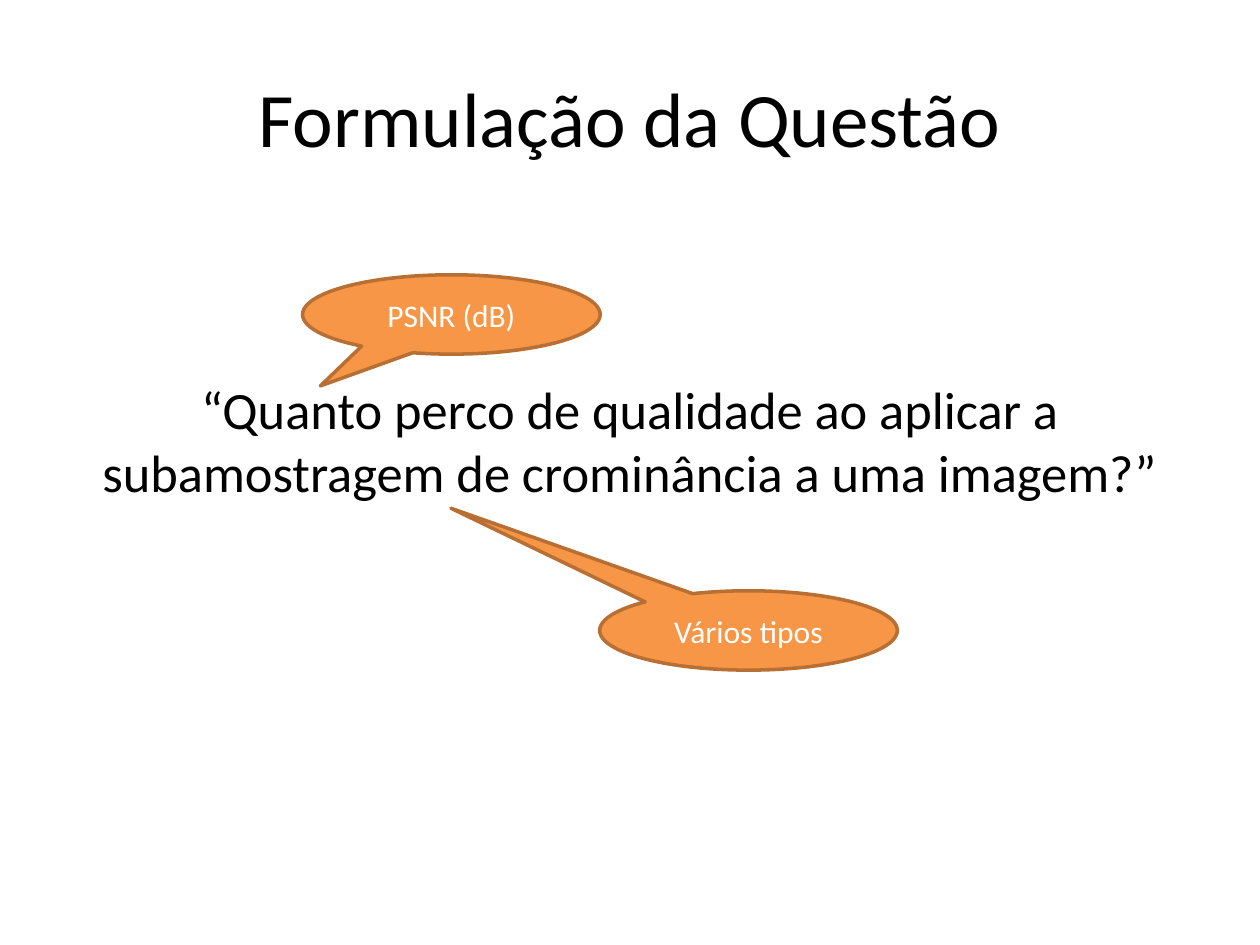
from pptx import Presentation
from pptx.dml.color import RGBColor
from pptx.enum.shapes import MSO_SHAPE
from pptx.enum.text import MSO_ANCHOR, PP_ALIGN
from pptx.util import Cm, Pt

CENTER = PP_ALIGN.CENTER
TOP, MIDDLE = MSO_ANCHOR.TOP, MSO_ANCHOR.MIDDLE
CALLOUT = MSO_SHAPE.OVAL_CALLOUT

FONT = "Calibri"
BLACK = RGBColor(0x00, 0x00, 0x00)
WHITE = RGBColor(0xFF, 0xFF, 0xFF)
ORANGE = RGBColor(0xF7, 0x96, 0x46)
BROWN = RGBColor(0xB7, 0x6F, 0x34)

TITLE = "Formulação da Questão"
QUESTION = ("“Quanto perco de qualidade ao aplicar a "
            "subamostragem de crominância a uma imagem?”")
# Text, left and top in cm, tip offset from the centre as a share of the size
CALLOUTS = [
    ("Vários tipos", 12.09, 11.91, (-1.0, -1.54)),
    ("PSNR (dB)", 6.1, 5.54, (-0.44, 0.9)),
]
CALLOUT_WIDTH, CALLOUT_HEIGHT = Cm(6), Cm(1.6)
MARGIN, CONTENT_WIDTH = Cm(1.27), Cm(22.86)


def write_text(shape, text, size, color, anchor=MIDDLE):
    """Put one centred paragraph into a shape and format it."""
    text_frame = shape.text_frame
    text_frame.text = text
    text_frame.word_wrap = True
    text_frame.vertical_anchor = anchor
    paragraph = text_frame.paragraphs[0]
    paragraph.alignment = CENTER
    font = paragraph.runs[0].font
    font.name, font.size = FONT, Pt(size)
    font.color.rgb = color


def add_callout(slide, text, left, top, tip):
    """Add an oval callout whose tail ends at the given tip."""
    shape = slide.shapes.add_shape(
        CALLOUT, Cm(left), Cm(top), CALLOUT_WIDTH, CALLOUT_HEIGHT)
    shape.adjustments[0], shape.adjustments[1] = tip
    shape.shadow.inherit = False
    shape.fill.solid()
    shape.fill.fore_color.rgb = ORANGE
    shape.line.color.rgb = BROWN
    shape.line.width = Pt(2)
    write_text(shape, text, 18, WHITE)


presentation = Presentation()
presentation.slide_width, presentation.slide_height = Cm(25.4), Cm(19.05)
slide = presentation.slides.add_slide(presentation.slide_layouts[5])

title = slide.shapes.title
title.left, title.top = MARGIN, Cm(0.76)
title.width, title.height = CONTENT_WIDTH, Cm(3.18)
write_text(title, TITLE, 44, BLACK)

question = slide.shapes.add_textbox(MARGIN, Cm(4.45), CONTENT_WIDTH, Cm(12.57))
write_text(question, QUESTION, 30, BLACK, TOP)
question.text_frame.margin_top = Cm(3.15)

for callout in CALLOUTS:
    add_callout(slide, *callout)

presentation.save("out.pptx")
